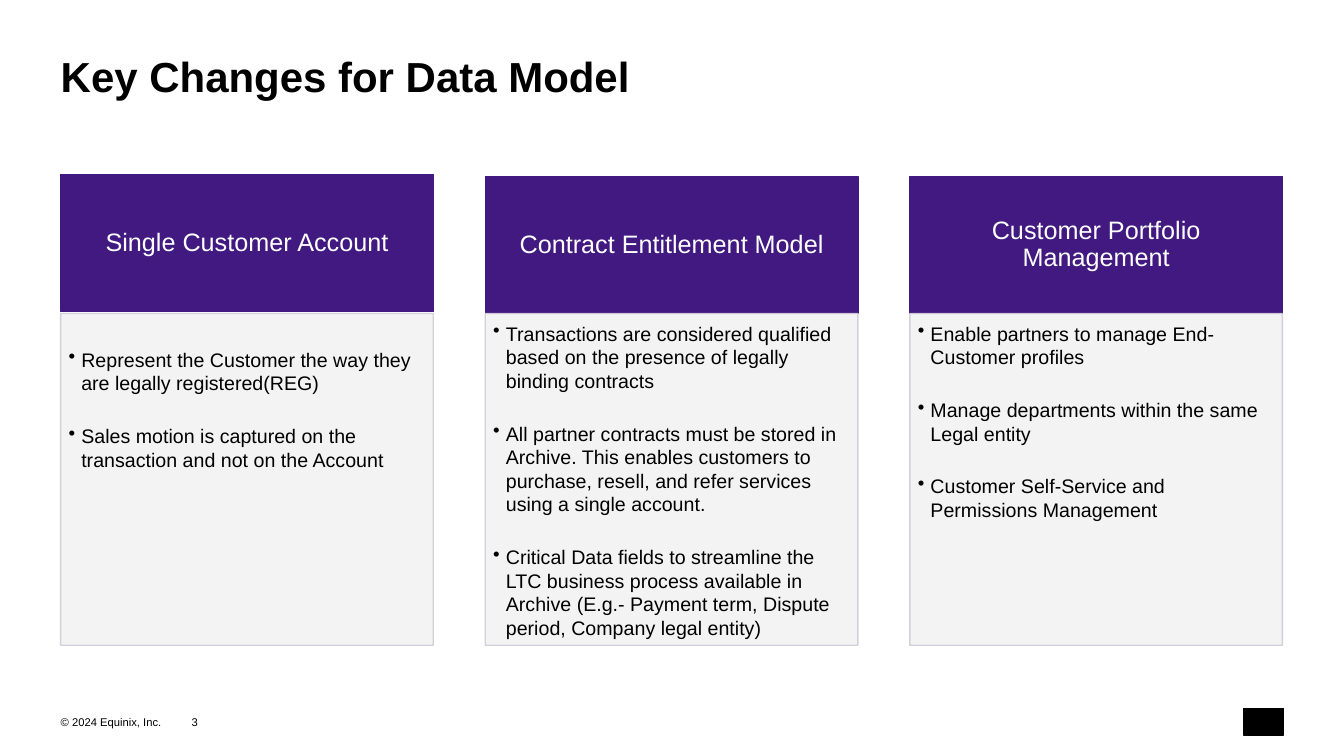
import pptx
import pptx.dml.color
import pptx.enum.shapes
import pptx.enum.text
import pptx.oxml
import pptx.oxml.ns
import pptx.util
from pptx.util import Cm

COLOURS = {"ink": "000000", "header": "411980", "header_text": "FFFFFF",
           "panel": "F2F2F2", "panel_line": "CFCCD8"}
FONT = "Arial"
LEFT, PITCH, CARD_WIDTH = 1.53, 10.7, 9.39
HEADER_HEIGHT, PANEL_TOP, PANEL_HEIGHT = 3.45, 7.9, 8.36
CARDS = [
    ("Single Customer Account", 4.4, 0.86, [
        "Represent the Customer the way they are legally registered(REG)",
        "Sales motion is captured on the transaction and not on the Account"]),
    ("Contract Entitlement Model", 4.45, 0.2, [
        "Transactions are considered qualified based on the presence of legally binding contracts",
        "All partner contracts must be stored in Archive. This enables customers to purchase, "
        "resell, and refer services using a single account.",
        "Critical Data fields to streamline the LTC business process available in Archive "
        "(E.g.- Payment term, Dispute period, Company legal entity)"]),
    ("Customer Portfolio Management", 4.45, 0.2, [
        "Enable partners to manage End-Customer profiles",
        "Manage departments within the same Legal entity",
        "Customer Self-Service and Permissions Management"]),
]


def colour(name):
    """Return the named colour."""
    return pptx.dml.color.RGBColor.from_string(COLOURS[name])


def set_frame(frame, insets, anchor=pptx.enum.text.MSO_ANCHOR.TOP):
    """Set wrapping, anchor and insets, given as left, top, right, bottom."""
    frame.word_wrap = True
    frame.auto_size = pptx.enum.text.MSO_AUTO_SIZE.NONE
    frame.vertical_anchor = anchor
    frame.margin_left, frame.margin_top, frame.margin_right, frame.margin_bottom = map(Cm, insets)


def format_runs(para, size, name, bold=False):
    """Format every run of a paragraph."""
    for span in para.runs:
        span.font.name = FONT
        span.font.size = pptx.util.Pt(size)
        span.font.bold = bold
        span.font.color.rgb = colour(name)


def add_rectangle(page, left, top, width, height, fill, line):
    """Add a flat rectangle."""
    box = page.shapes.add_shape(pptx.enum.shapes.MSO_SHAPE.RECTANGLE,
                                Cm(left), Cm(top), Cm(width), Cm(height))
    box.shadow.inherit = False
    box.fill.solid()
    box.fill.fore_color.rgb = colour(fill)
    box.line.color.rgb = colour(line)
    box.line.width = pptx.util.Pt(1)
    return box


def set_opacity(box, percent):
    """Make the fill and the line of a box partly transparent."""
    for tint in box.element.spPr.iter(pptx.oxml.ns.qn("a:srgbClr")):
        alpha = pptx.oxml.parse_xml(f'<a:alpha {pptx.oxml.ns.nsdecls("a")} val="{percent * 1000}"/>')
        tint.append(alpha)


def set_bullet(para, indent):
    """Give a paragraph a hanging round bullet."""
    properties = para._p.get_or_add_pPr()
    properties.set("marL", str(Cm(indent)))
    properties.set("indent", str(-Cm(indent)))
    properties.append(pptx.oxml.parse_xml(f'<a:buChar {pptx.oxml.ns.nsdecls("a")} char="•"/>'))


def add_title(page, text):
    """Place and format the title placeholder."""
    box = page.shapes.title
    box.left, box.top, box.width, box.height = Cm(LEFT), Cm(1.27), Cm(30.81), Cm(1.52)
    set_frame(box.text_frame, (0, 0, 0, 0))
    box.text_frame.text = text
    para = box.text_frame.paragraphs[0]
    para.alignment = pptx.enum.text.PP_ALIGN.LEFT
    format_runs(para, 30, "ink", bold=True)


def add_header(page, left, top, text):
    """Add the coloured heading of a card."""
    box = add_rectangle(page, left, top, CARD_WIDTH, HEADER_HEIGHT, "header", "header")
    set_frame(box.text_frame, (0.36, 0.2, 0.36, 0.2), pptx.enum.text.MSO_ANCHOR.MIDDLE)
    box.text_frame.text = text
    para = box.text_frame.paragraphs[0]
    para.alignment = pptx.enum.text.PP_ALIGN.CENTER
    para.line_spacing = 0.9
    format_runs(para, 18, "header_text")


def add_panel(page, left, inset_top, points):
    """Add the bulleted panel of a card."""
    box = add_rectangle(page, left, PANEL_TOP, CARD_WIDTH, PANEL_HEIGHT, "panel", "panel_line")
    set_opacity(box, 90)
    set_frame(box.text_frame, (0.2, inset_top, 0.28, 0.3))
    box.text_frame.text = "\n".join(points)
    for index, para in enumerate(box.text_frame.paragraphs):
        set_bullet(para, 0.32)
        para.alignment = pptx.enum.text.PP_ALIGN.LEFT
        para.line_spacing = 1.0
        para.space_before = pptx.util.Pt(21 if index else 0)
        format_runs(para, 14, "ink")


def add_footer(page, left, width, text):
    """Add a small footer text."""
    box = page.shapes.add_textbox(Cm(left), Cm(18.03), Cm(width), Cm(1.02))
    set_frame(box.text_frame, (0, 0, 0, 0))
    box.text_frame.text = text
    format_runs(box.text_frame.paragraphs[0], 8, "ink")


def main():
    """Build the slide and save it."""
    deck = pptx.Presentation()
    deck.slide_width, deck.slide_height = Cm(33.87), Cm(19.05)
    page = deck.slides.add_slide(deck.slide_layouts[5])
    add_title(page, "Key Changes for Data Model")
    for index, (heading, top, inset_top, points) in enumerate(CARDS):
        left = LEFT + index * PITCH
        add_header(page, left, top, heading)
        add_panel(page, left, inset_top, points)
    add_footer(page, LEFT, 3.05, "© 2024 Equinix, Inc.")
    add_footer(page, 4.83, 1.27, "3")
    add_rectangle(page, 31.34, 17.86, 1, 0.66, "ink", "ink")
    deck.save("out.pptx")


if __name__ == "__main__":
    main()
